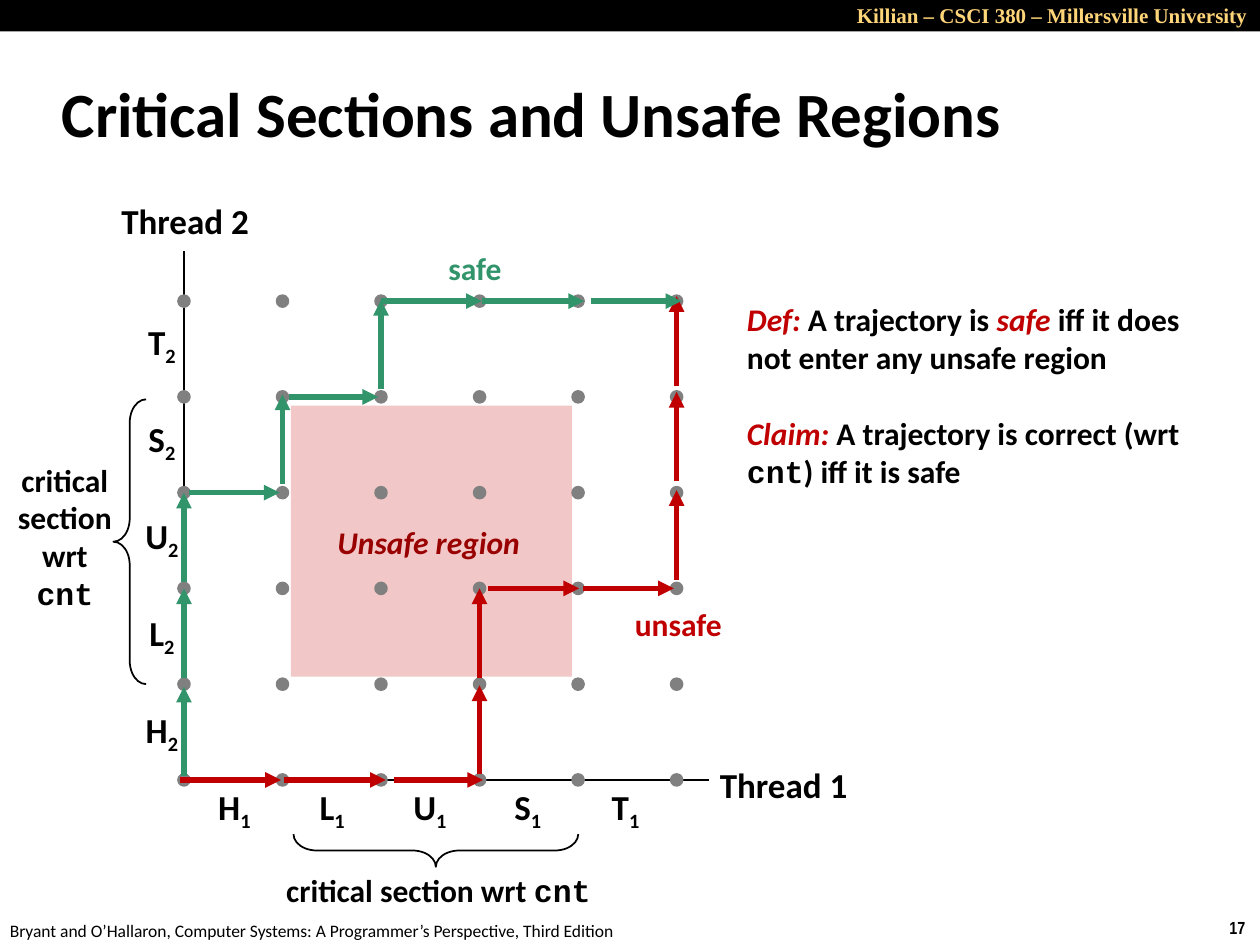
"""Build a slide on critical sections and unsafe regions in a progress graph."""
from lxml import etree
from pptx import Presentation
from pptx.dml.color import RGBColor
from pptx.enum.shapes import MSO_CONNECTOR, MSO_SHAPE
from pptx.enum.text import MSO_ANCHOR, PP_ALIGN
from pptx.oxml.ns import qn
from pptx.util import Inches, Pt

RECT, OVAL, BRACE = MSO_SHAPE.RECTANGLE, MSO_SHAPE.OVAL, MSO_SHAPE.LEFT_BRACE
LINE = MSO_CONNECTOR.STRAIGHT
LEFT, MID, RIGHT = PP_ALIGN.LEFT, PP_ALIGN.CENTER, PP_ALIGN.RIGHT
TOP, HALF = MSO_ANCHOR.TOP, MSO_ANCHOR.MIDDLE
COLS, ROWS = 100, 75
LEFT_X, BASE_Y, STEP_X, STEP_Y = 14.6, 61.9, 7.82, 7.6
BLACK, RED, GREEN, GRAY = "000000", "C00000", "32946A", "808080"
SANS, MONO = "Calibri", "Courier New"
RISKY = [("R", -0.3, 8), ("R", 0.1, 8.1), ("R", 1, 7.1),
         ("U", 0.5, 7), ("U", 0.5, 7.1), ("R", 0.7, 7.2), ("R", 0.4, 7.2),
         ("U", 0.7, 7.1), ("U", 0.9, 7.1), ("U", 0.9, 7.1)]
SAFE = [("U", 0.3, 7.1), ("U", 0.5, 7.1), ("U", 0.5, 7.1),
        ("R", 0.4, 7.2), ("U", 0.7, 7.1), ("R", 0.5, 7.1), ("U", 0.6, 7.1),
        ("R", 0, 8), ("R", 0.2, 8.1), ("R", 1, 7.2)]


def tint(code):
    """Turn a hex string into a colour."""
    return RGBColor.from_string(code)


def node(col, row):
    """Return the place of a state in the graph."""
    return LEFT_X + col * STEP_X, BASE_Y - row * STEP_Y


class Board:
    """Hold the style and the current slide, on a grid of COLS by ROWS."""

    def __init__(self, deck):
        """Add a title-only slide and work out its cell size."""
        self.slide = deck.slides.add_slide(deck.slide_layouts[5])
        self.shapes = self.slide.shapes
        self.cell_w = deck.slide_width / COLS
        self.cell_h = deck.slide_height / ROWS

    def place(self, x, y):
        """Turn grid values into lengths."""
        return round(x * self.cell_w), round(y * self.cell_h)

    def style(self, font, size, color, bold=True, italic=False, name=SANS):
        """Format one font."""
        font.name, font.size, font.bold, font.italic = name, Pt(size), bold, italic
        font.color.rgb = tint(color)

    def title(self, text, x, y, w, h):
        """Move and fill the title placeholder."""
        item = self.shapes.title
        item.left, item.top = self.place(x, y)
        item.width, item.height = self.place(w, h)
        frame = item.text_frame
        frame.text, frame.vertical_anchor = text, HALF
        frame.paragraphs[0].alignment = LEFT
        self.style(frame.paragraphs[0].font, 36, BLACK)

    def text(self, paras, x, y, w, h, size=18, color=BLACK, align=LEFT,
             wrap=False, anchor=TOP, pad=0.05, gap=0, **look):
        """Add a text box; a run is a string or a pair of string and changes."""
        frame = self.shapes.add_textbox(*self.place(x, y), *self.place(w, h)).text_frame
        frame.word_wrap, frame.vertical_anchor = wrap, anchor
        frame.margin_top = frame.margin_bottom = Inches(pad)
        paras = [[paras]] if isinstance(paras, str) else paras
        for num, runs in enumerate(paras):
            para = frame.add_paragraph() if num else frame.paragraphs[0]
            para.alignment = align
            if num:
                para.space_before = Pt(gap)
            if len(runs) == 1:
                self.style(para.font, size, color, **look)
            for part in runs:
                words, change = (part, {}) if isinstance(part, str) else part
                run = para.add_run()
                run.text = words
                if len(runs) > 1:
                    kind = {"size": size, "color": color, **look, **change}
                    base = kind.pop("base", 0)
                    self.style(run.font, **kind)
                    if base:
                        run._r.get_or_add_rPr().set("baseline", str(base * 1000))

    def shape(self, kind, x, y, w, h, fill=None, line=None, width=1):
        """Add a preset shape."""
        item = self.shapes.add_shape(kind, *self.place(x, y), *self.place(w, h))
        item.shadow.inherit = False
        if fill:
            item.fill.solid()
            item.fill.fore_color.rgb = tint(fill)
        else:
            item.fill.background()
        if line:
            item.line.color.rgb, item.line.width = tint(line), Pt(width)
        else:
            item.line.fill.background()
        return item

    def brace(self, x, y, turn=0):
        """Add a brace that spans the critical section."""
        item = self.shape(BRACE, x, y, 2.6, 22.6, line=BLACK)
        item.adjustments[0], item.rotation = 0.715, turn

    def line(self, start, end, color=BLACK, width=1, arrow=False):
        """Add a straight line, with an arrowhead if asked."""
        item = self.shapes.add_connector(LINE, *self.place(*start), *self.place(*end))
        item.line.color.rgb, item.line.width = tint(color), Pt(width)
        props = item._element.spPr
        if arrow:
            etree.SubElement(props.find(qn("a:ln")), qn("a:tailEnd"), type="triangle")
        etree.SubElement(props, qn("a:effectLst"))

    def trail(self, steps, color):
        """Draw a trajectory from the origin, one arrow a step."""
        col = row = 0
        for way, skip, size in steps:
            x, y = node(col, row)
            if way == "R":
                self.line((x + skip, y), (x + skip + size, y), color, 3, True)
                col += 1
            else:
                self.line((x, y - skip), (x, y - skip - size), color, 3, True)
                row += 1


def main():
    """Build and save the slide."""
    deck = Presentation()
    deck.slide_width, deck.slide_height = Inches(10), Inches(7.5)
    board = Board(deck)
    board.text("17", 96.6, 72.3, 3.4, 2.7, 10, name="Arial Narrow")
    board.text("Bryant and O’Hallaron, Computer Systems: A Programmer’s Perspective, "
               "Third Edition", -0.2, 72.5, 50.8, 2.7, 10, bold=False)
    board.shape(RECT, 0, 0, 100, 2.5, BLACK)
    board.text("Killian – CSCI 380 – Millersville University", 45, -0.3, 55, 3, 12,
               "FFD579", RIGHT, True, name="Times New Roman")
    board.title("Critical Sections and Unsafe Regions", 3.9, 4.8, 83, 8.3)

    board.shape(RECT, 23.1, 32.2, 22.3, 21.5, "F1C7C7")
    origin = node(0, 0)
    board.line(origin, (56.3, BASE_Y))
    board.line(origin, (LEFT_X, 19.9))
    for num, name in enumerate("HLUST"):
        spots = [(16.2 + 7.76 * num, 62), (10.45, 55.9 - 7.7 * num)]
        for axis, (x, y) in enumerate(spots, 1):
            board.text([[name, (str(axis), {"base": -25})]], x, y, 4.8, 4.4, 20,
                       align=MID, anchor=HALF)
    for name, x, y in (("Thread 1", 56.1, 60.1), ("Thread 2", 8.6, 15.3)):
        board.text(name, x, y, 12.2, 4.4, 20, align=MID, anchor=HALF)
    for col in range(6):
        for row in range(6):
            x, y = node(col, row)
            board.shape(OVAL, x - 0.4, y - 0.4, 0.8, 0.8, GRAY, GRAY, 2)

    board.brace(9, 31.7)
    board.brace(33.3, 56.2, 270)
    code = ("cnt", {"name": MONO})
    note = [["critical section wrt ", code]]
    board.text(note, 21.6, 68.6, 26.4, 4, align=MID, anchor=HALF)
    board.text(note, 0, 36, 10.3, 13.1, align=MID, wrap=True, anchor=HALF)
    board.text("Unsafe region", 25.8, 41, 16.7, 4, color="990000", italic=True)
    key = {"color": RED, "italic": True}
    board.text([[("Def: ", key), "A trajectory is ", ("safe ", key),
                 "iff it does not enter any unsafe region"],
                [("Claim: ", key), "A trajectory is correct (wrt ", code,
                 ") iff it is safe"]],
               58.3, 23.8, 38.3, 18.2, wrap=True, pad=0, gap=22)
    board.trail(RISKY, RED)
    board.text("unsafe", 49.4, 47.5, 9, 4, color=RED)
    board.trail(SAFE, GREEN)
    board.text("safe", 34.6, 19.3, 6.3, 4, color=GREEN)
    deck.save("out.pptx")


if __name__ == "__main__":
    main()
